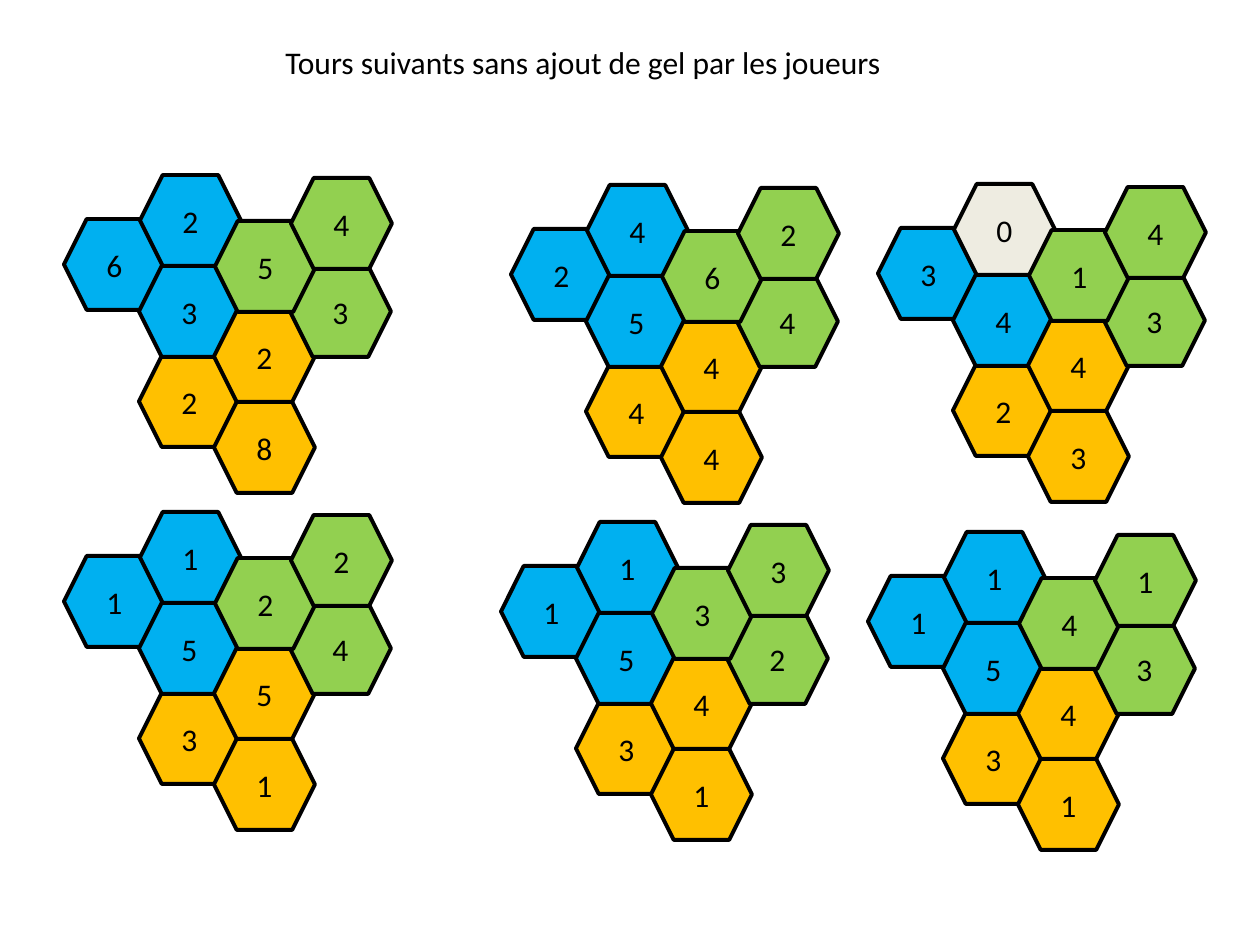
from pptx import Presentation
from pptx.dml.color import RGBColor
from pptx.enum.shapes import MSO_SHAPE
from pptx.enum.text import MSO_ANCHOR, MSO_AUTO_SIZE, PP_ALIGN
from pptx.util import Emu, Pt

EMU_PER_PX = 914400 / 126

BLACK = RGBColor(0x00, 0x00, 0x00)
BLUE = RGBColor(0x00, 0xB0, 0xF0)
GREEN = RGBColor(0x92, 0xD0, 0x50)
ORANGE = RGBColor(0xFF, 0xC0, 0x00)
BEIGE = RGBColor(0xEE, 0xEC, 0xE1)

TILE_WIDTH, TILE_HEIGHT = 101, 91

# Tiles of one board: offset from the board's corner and colour
TILES = [
    (75, 181, ORANGE),
    (0, 44, BLUE),
    (75, 91, BLUE),
    (150, 227, ORANGE),
    (150, 136, ORANGE),
    (226, 91, GREEN),
    (76, 0, BLUE),
    (151, 46, GREEN),
    (227, 3, GREEN),
]

# Boards, one per turn: corner and tile values in the order of TILES
BOARDS = [
    (64, 175, "263823254"),
    (511, 185, "425444462"),
    (878, 184, "234343014"),
    (64, 512, "315154122"),
    (501, 522, "315142133"),
    (868, 532, "315143141"),
]


def px(length):
    return Emu(round(length * EMU_PER_PX))


def add_text(paragraph, text):
    run = paragraph.add_run()
    run.text = text
    run.font.name = "Calibri"
    run.font.size = Pt(18)
    run.font.color.rgb = BLACK


def add_tile(shapes, left, top, color, value):
    tile = shapes.add_shape(MSO_SHAPE.HEXAGON, px(left), px(top),
                            px(TILE_WIDTH), px(TILE_HEIGHT))
    tile.shadow.inherit = False
    tile.fill.solid()
    tile.fill.fore_color.rgb = color
    tile.line.color.rgb = BLACK
    tile.line.width = Pt(2.25)
    tile.text_frame.vertical_anchor = MSO_ANCHOR.MIDDLE
    paragraph = tile.text_frame.paragraphs[0]
    paragraph.alignment = PP_ALIGN.CENTER
    add_text(paragraph, value)


def add_board(slide, left, top, values):
    board = slide.shapes.add_group_shape()
    for (x, y, color), value in zip(TILES, values):
        # An empty tile loses its colour
        fill = BEIGE if value == "0" else color
        add_tile(board.shapes, left + x, top + y, fill, value)


def add_title(slide, left, top, width, height, text):
    frame = slide.shapes.add_textbox(px(left), px(top), px(width), px(height)).text_frame
    frame.word_wrap = True
    frame.auto_size = MSO_AUTO_SIZE.SHAPE_TO_FIT_TEXT
    add_text(frame.paragraphs[0], text)


def main():
    presentation = Presentation()
    presentation.slide_width = px(1260)
    presentation.slide_height = px(945)
    slide = presentation.slides.add_slide(presentation.slide_layouts[6])

    # Boards
    for left, top, values in BOARDS:
        add_board(slide, left, top, values)

    # Title
    add_title(slide, 273, 37, 863, 50, "Tours suivants sans ajout de gel par les joueurs")

    presentation.save("out.pptx")


if __name__ == "__main__":
    main()
